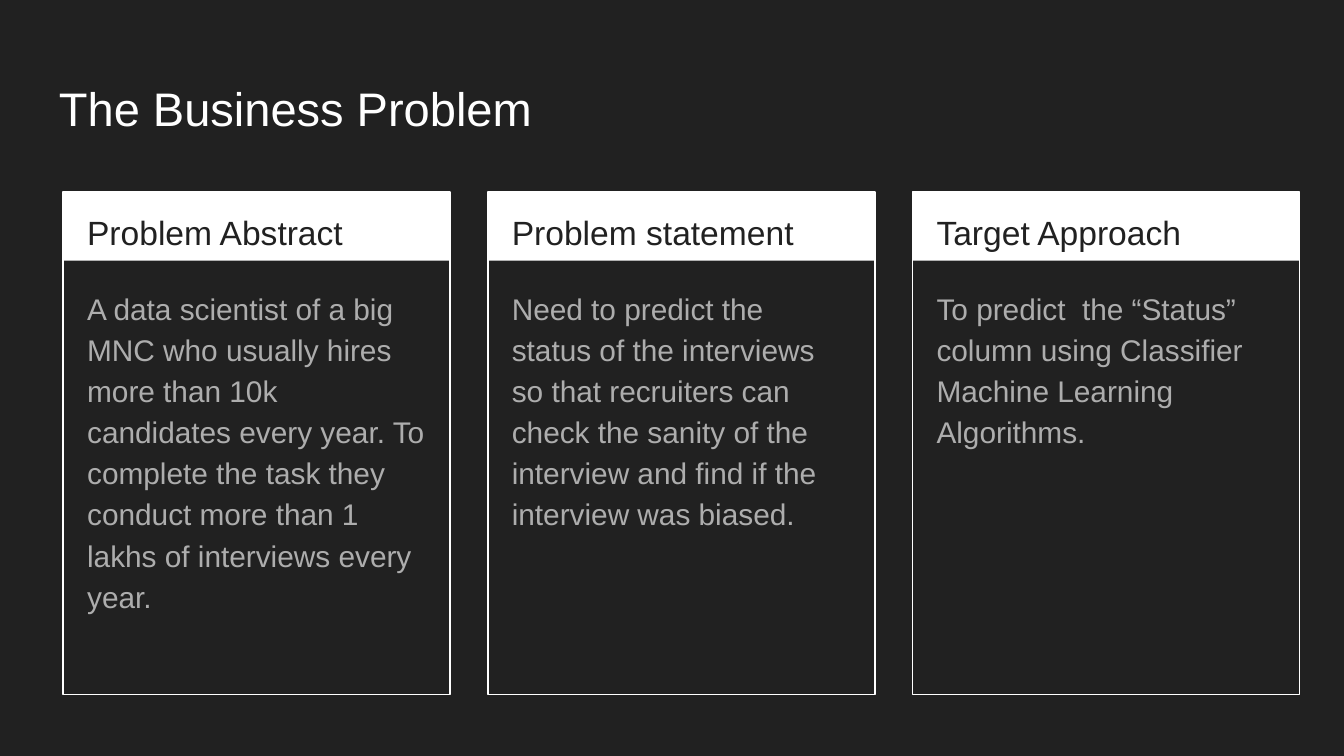
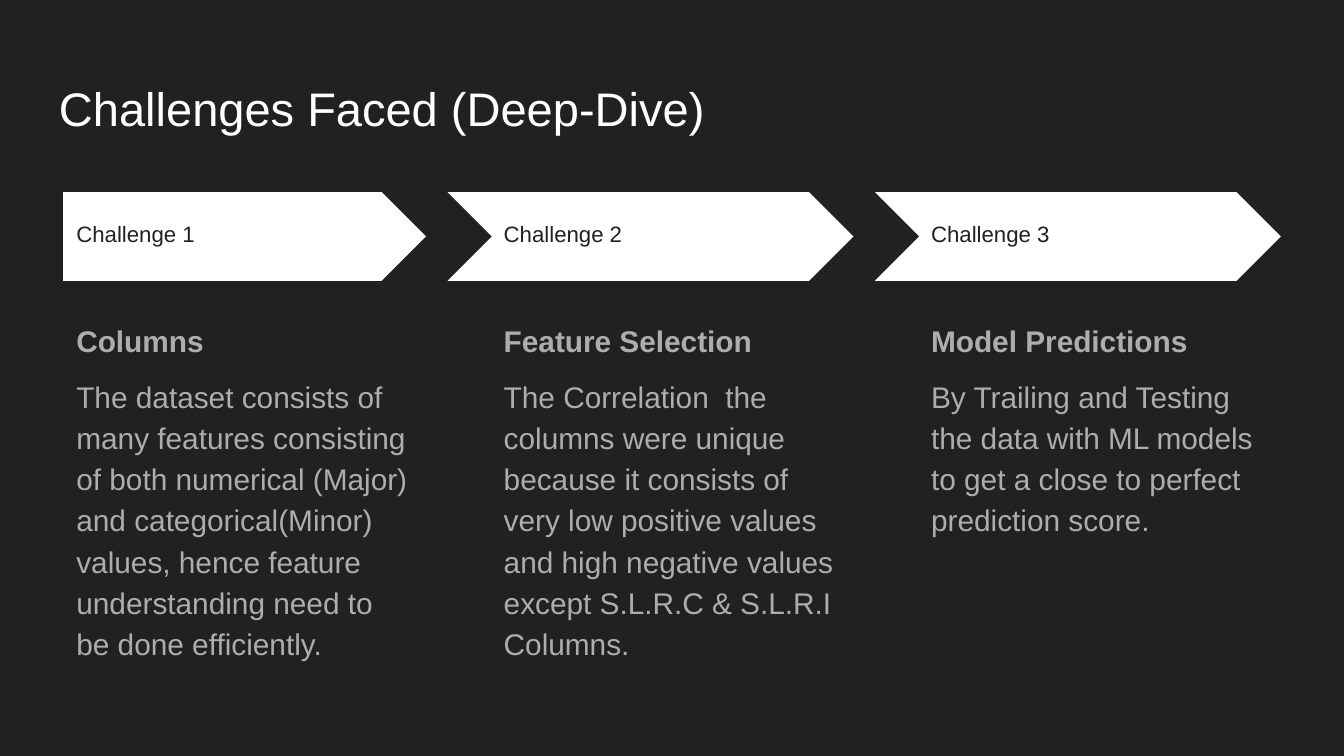
from pptx import Presentation
from pptx.dml.color import RGBColor
from pptx.enum import shapes, text
from pptx.util import Inches, Pt

FONT = "Arial"
DARK, WHITE, GREY = "212121", "FFFFFF", "ADADAD"
TOP = 1.43

TITLE = dict(size=25.2, color=WHITE)
CARD_HEAD = dict(size=18, color=DARK, line_spacing=1.15)
CARD_BODY = dict(size=16, color=GREY, line_spacing=1.15, space_after=Pt(12))
STEP_LABEL = dict(size=11.9, color=DARK, line_spacing=0.8)
STEP_HEAD = dict(size=16, color=GREY, bold=True, line_spacing=1.15)
STEP_BODY = dict(size=16, color=GREY, line_spacing=1.15,
                 space_before=Pt(8), space_after=Pt(8))

CARDS = [
    ("Problem Abstract",
     "A data scientist of a big MNC who usually hires more than 10k candidates "
     "every year. To complete the task they conduct more than 1 lakhs of "
     "interviews every year."),
    ("Problem statement",
     "Need to predict the status of the interviews so that recruiters can check "
     "the sanity of the interview and find if the interview was biased."),
    ("Target Approach",
     "To predict  the “Status” column using Classifier Machine Learning "
     "Algorithms."),
]

CHALLENGES = [
    ("Challenge 1", "Columns",
     "The dataset consists of many features consisting of both numerical (Major) "
     "and categorical(Minor) values, hence feature understanding need to be done "
     "efficiently."),
    ("Challenge 2", "Feature Selection",
     "The Correlation  the columns were unique because it consists of very low "
     "positive values and high negative values except S.L.R.C & S.L.R.I Columns."),
    ("Challenge 3", "Model Predictions",
     "By Trailing and Testing the data with ML models to get a close to perfect "
     "prediction score."),
]


def rgb(value):
    return RGBColor.from_string(value)


def add_text(slide, box, *paragraphs, anchor=text.MSO_ANCHOR.TOP):
    """Add a text box holding (wording, format) paragraphs."""
    tf = slide.shapes.add_textbox(*map(Inches, box)).text_frame
    tf.word_wrap = True
    tf.vertical_anchor = anchor
    for side in ("left", "top", "right", "bottom"):
        setattr(tf, f"margin_{side}", Inches(0.1))
    for i, (wording, style) in enumerate(paragraphs):
        p = tf.add_paragraph() if i else tf.paragraphs[0]
        r = p.add_run()
        r.text = wording
        r.font.name = FONT
        r.font.size = Pt(style["size"])
        r.font.bold = style.get("bold", False)
        r.font.color.rgb = rgb(style["color"])
        for name in ("line_spacing", "space_before", "space_after"):
            if name in style:
                setattr(p, name, style[name])


def add_box(parent, kind, box, fill=None, line=None):
    sp = parent.shapes.add_shape(kind, *map(Inches, box))
    sp.shadow.inherit = False
    if fill:
        sp.fill.solid()
        sp.fill.fore_color.rgb = rgb(fill)
    else:
        sp.fill.background()
    if line:
        sp.line.color.rgb = rgb(line)
        sp.line.width = Pt(0.75)
    else:
        sp.line.fill.background()


def add_slide(prs, title):
    slide = prs.slides.add_slide(prs.slide_layouts[6])
    slide.background.fill.solid()
    slide.background.fill.fore_color.rgb = rgb(DARK)
    add_text(slide, (0.34, 0.49, 9.32, 0.63), (title, TITLE))
    return slide


def add_cards(slide):
    rect = shapes.MSO_SHAPE.RECTANGLE
    for i, (head, body) in enumerate(CARDS):
        x = 0.47 + i * 3.16
        frame = slide.shapes.add_group_shape()
        add_box(frame, rect, (x, TOP, 2.88, 0.51), fill=WHITE)
        add_box(frame, rect, (x, TOP, 2.88, 3.74), line=WHITE)
        add_text(slide, (x + 0.08, TOP, 2.73, 0.5), (head, CARD_HEAD))
        add_text(slide, (x + 0.08, 2.02, 2.71, 3.06), (body, CARD_BODY))


def add_challenges(slide):
    for i, (label, head, body) in enumerate(CHALLENGES):
        x = 0.47 + i * 3.18
        if i == 0:
            kind, left, width = shapes.MSO_SHAPE.PENTAGON, x, 2.7
        else:
            kind, left, width = shapes.MSO_SHAPE.CHEVRON, x - 0.32, 3.02
        add_box(slide, kind, (left, TOP, width, 0.66), fill=WHITE)
        add_text(slide, (x, 1.59, 2.47, 0.34), (label, STEP_LABEL),
                 anchor=text.MSO_ANCHOR.MIDDLE)
        add_text(slide, (x, 2.26, 2.7, 2.9), (head, STEP_HEAD), (body, STEP_BODY))


def main():
    prs = Presentation()
    prs.slide_width = Inches(10)
    prs.slide_height = prs.slide_width * 9 // 16
    add_cards(add_slide(prs, "The Business Problem"))
    add_challenges(add_slide(prs, "Challenges Faced (Deep-Dive)"))
    prs.save("out.pptx")


if __name__ == "__main__":
    main()
